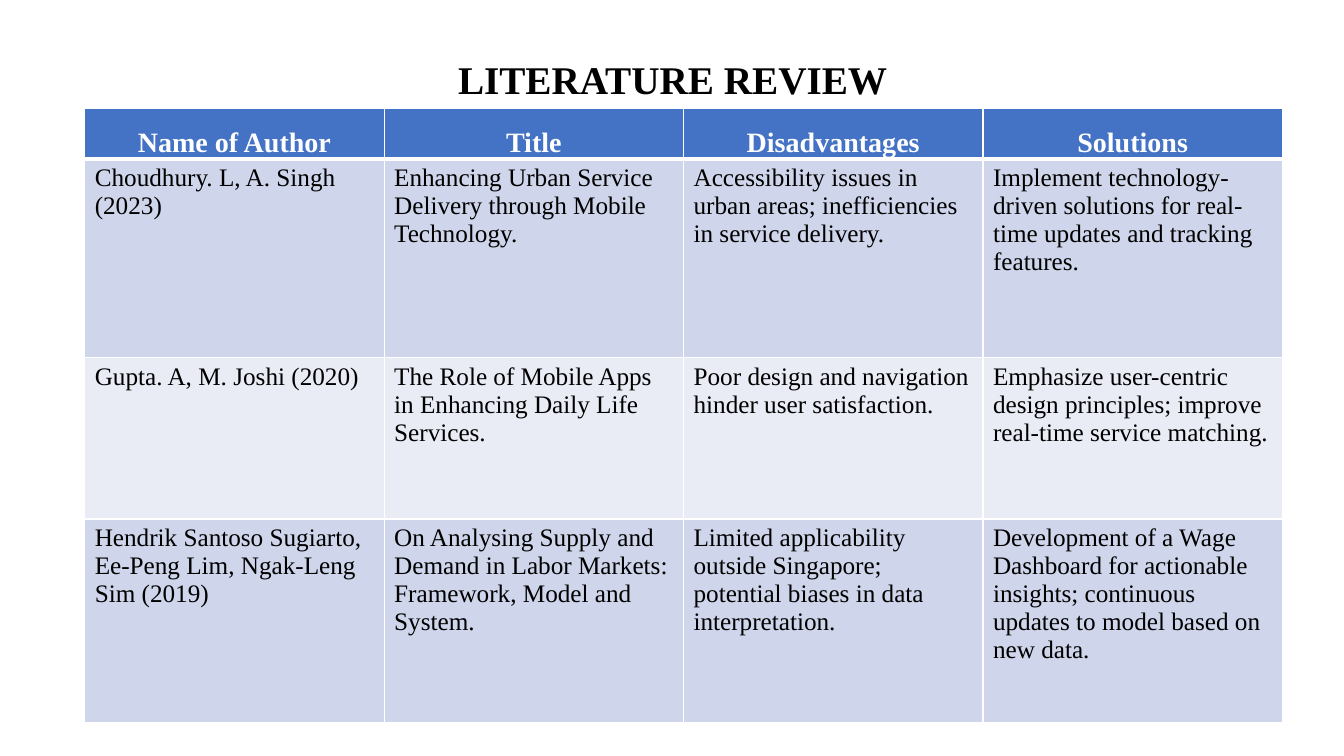
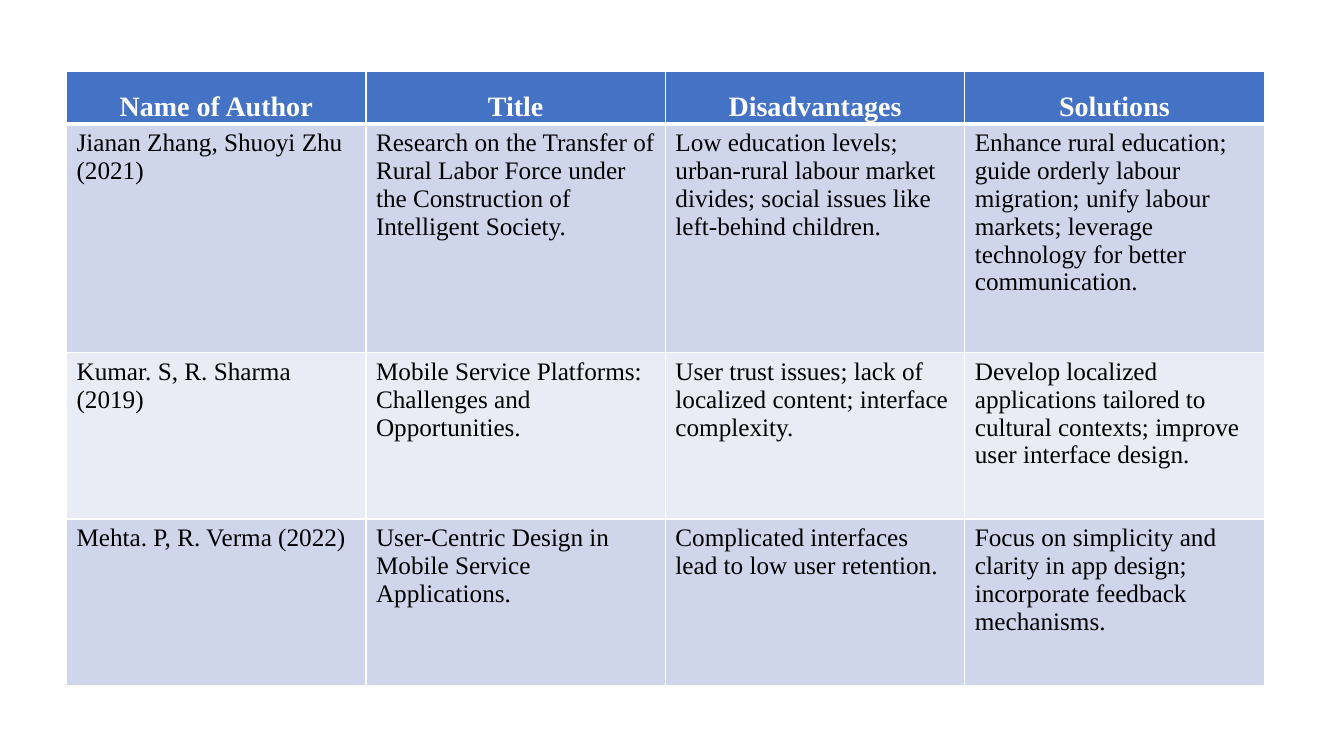
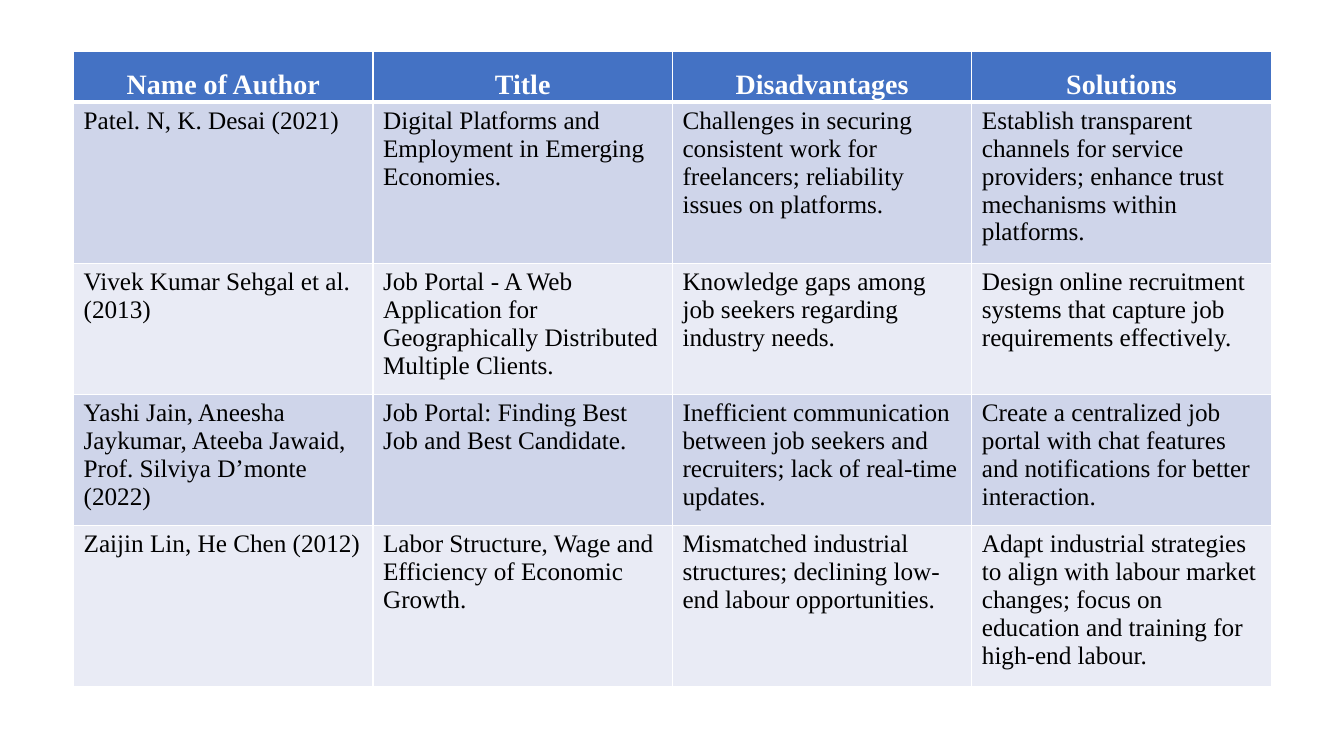
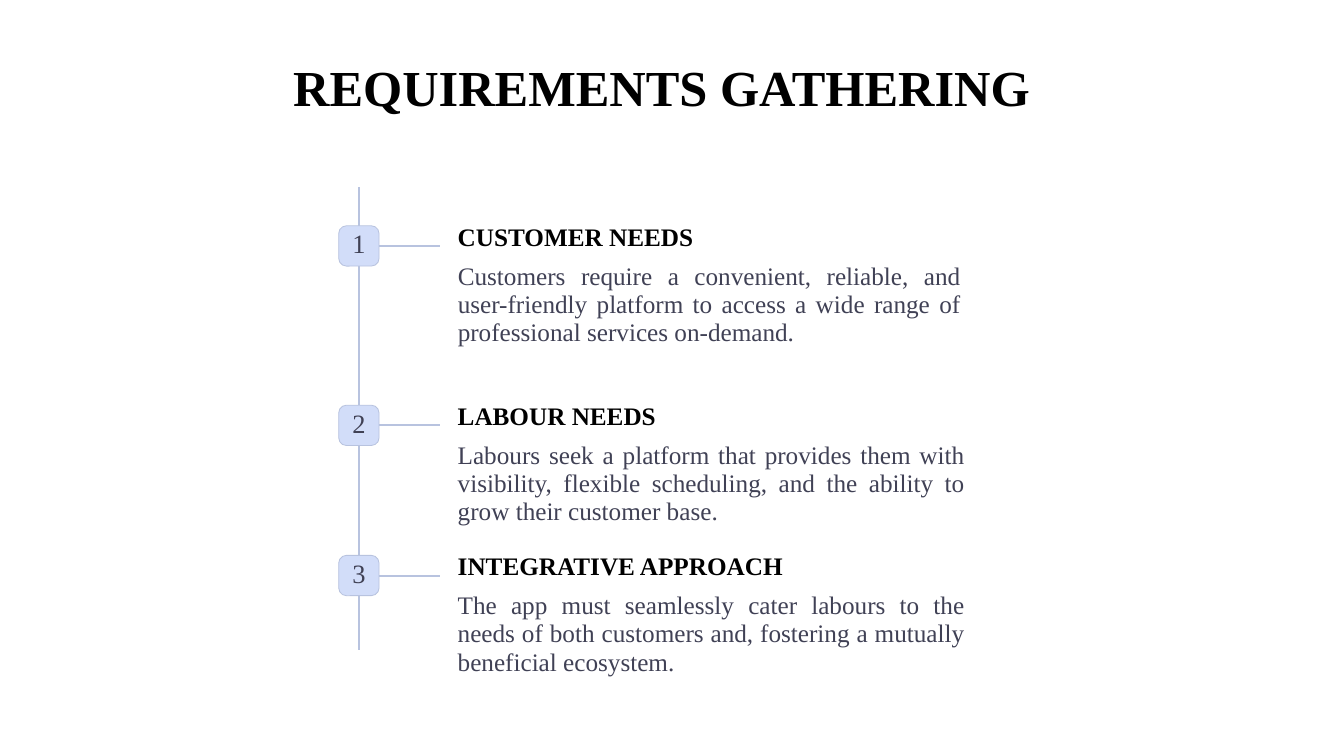
from lxml import etree
from pptx import Presentation
from pptx import util as u
from pptx.dml.color import RGBColor
from pptx.enum import shapes, text
from pptx.oxml.ns import qn

FONT = "Times New Roman"
BLACK, WHITE, SLATE = "000000", "FFFFFF", "404155"
BLUE, BANDS = "4472C4", ("CFD5EA", "E9EBF5")
RULE, BADGE = "B8C3DF", "D2DDF9"
AL = text.PP_ALIGN
MID = text.MSO_ANCHOR.MIDDLE

# Content
HEADS = ("Name of Author", "Title", "Disadvantages", "Solutions")
REVIEWS = [
    {"title": "LITERATURE REVIEW", "at": (0.84, 1.08),
     "heights": (0.5, 1.97, 1.6, 2.02),
     "rows": [
         ("Choudhury. L, A. Singh (2023)",
          "Enhancing Urban Service Delivery through Mobile Technology.",
          "Accessibility issues in urban areas; inefficiencies in service delivery.",
          "Implement technology-driven solutions for real-time updates and tracking features."),
         ("Gupta. A, M. Joshi (2020)",
          "The Role of Mobile Apps in Enhancing Daily Life Services.",
          "Poor design and navigation hinder user satisfaction.",
          "Emphasize user-centric design principles; improve real-time service matching."),
         ("Hendrik Santoso Sugiarto, Ee-Peng Lim, Ngak-Leng Sim (2019)",
          "On Analysing Supply and Demand in Labor Markets: Framework, Model and System.",
          "Limited applicability outside Singapore; potential biases in data interpretation.",
          "Development of a Wage Dashboard for actionable insights; continuous updates "
          "to model based on new data."),
     ]},
    {"title": None, "at": (0.66, 0.71),
     "heights": (0.52, 2.27, 1.65, 1.65),
     "rows": [
         ("Jianan Zhang, Shuoyi Zhu (2021)",
          "Research on the Transfer of Rural Labor Force under the Construction of "
          "Intelligent Society.",
          "Low education levels; urban-rural labour market divides; social issues like "
          "left-behind children.",
          "Enhance rural education; guide orderly labour migration; unify labour markets; "
          "leverage technology for better communication."),
         ("Kumar. S, R. Sharma (2019)",
          "Mobile Service Platforms: Challenges and Opportunities.",
          "User trust issues; lack of localized content; interface complexity.",
          "Develop localized applications tailored to cultural contexts; improve user "
          "interface design."),
         ("Mehta. P, R. Verma (2022)",
          "User-Centric Design in Mobile Service Applications.",
          "Complicated interfaces lead to low user retention.",
          "Focus on simplicity and clarity in app design; incorporate feedback mechanisms."),
     ]},
    {"title": None, "at": (0.73, 0.51),
     "heights": (0.5, 1.6, 1.3, 1.3, 1.6),
     "rows": [
         ("Patel. N, K. Desai (2021)",
          "Digital Platforms and Employment in Emerging Economies.",
          "Challenges in securing consistent work for freelancers; reliability issues on "
          "platforms.",
          "Establish transparent channels for service providers; enhance trust mechanisms "
          "within platforms."),
         ("Vivek Kumar Sehgal et al. (2013)",
          "Job Portal - A Web Application for Geographically Distributed Multiple Clients.",
          "Knowledge gaps among job seekers regarding industry needs.",
          "Design online recruitment systems that capture job requirements effectively."),
         ("Yashi Jain, Aneesha Jaykumar, Ateeba Jawaid, Prof. Silviya D’monte (2022)",
          "Job Portal: Finding Best Job and Best Candidate.",
          "Inefficient communication between job seekers and recruiters; lack of real-time "
          "updates.",
          "Create a centralized job portal with chat features and notifications for better "
          "interaction."),
         ("Zaijin Lin, He Chen (2012)",
          "Labor Structure, Wage and Efficiency of Economic Growth.",
          "Mismatched industrial structures; declining low-end labour opportunities.",
          "Adapt industrial strategies to align with labour market changes; focus on "
          "education and training for high-end labour."),
     ]},
]
# Badge top, text width, heading, body
NEEDS = [
    (2.24, 4.99, "CUSTOMER NEEDS",
     "Customers require a convenient, reliable, and user-friendly platform to access a "
     "wide range of professional services on-demand."),
    (4.02, 5.03, "LABOUR NEEDS",
     "Labours seek a platform that provides them with visibility, flexible scheduling, "
     "and the ability to grow their customer base."),
    (5.51, 5.03, "INTEGRATIVE APPROACH",
     "The app must seamlessly cater labours to the needs of both customers and, "
     "fostering a mutually beneficial ecosystem."),
]


def rgb(code):
    return RGBColor.from_string(code)


def inches(*nums):
    return [u.Inches(n) for n in nums]


def write(frame, words, size, color, bold=False, align=AL.LEFT, lead=None, after=None):
    frame.text = words
    par = frame.paragraphs[0]
    par.alignment, par.line_spacing, par.space_after = align, lead, after
    font = par.runs[0].font
    font.name, font.size, font.bold = FONT, u.Pt(size), bold
    font.color.rgb = rgb(color)


def inset(part, size):
    part.margin_left = part.margin_right = u.Inches(size)
    part.margin_top = part.margin_bottom = u.Inches(size)


def label(slide, at, words, size, color, pad=None, anchor=text.MSO_ANCHOR.TOP, **style):
    frame = slide.shapes.add_textbox(*inches(*at)).text_frame
    frame.word_wrap, frame.vertical_anchor = True, anchor
    if pad is not None:
        inset(frame, pad)
    write(frame, words, size, color, **style)


def title(slide, at, words, size, **style):
    label(slide, at, words, size, BLACK, bold=True, **style)


def border(cell, top, bottom):
    props = cell._tc.get_or_add_tcPr()
    for side, width in (("L", 1), ("R", 1), ("T", top), ("B", bottom)):
        line = etree.SubElement(props, qn("a:ln" + side), w=str(u.Pt(width)))
        fill = etree.SubElement(line, qn("a:solidFill"))
        etree.SubElement(fill, qn("a:srgbClr"), val=WHITE)


def grid(slide, at, heights, rows):
    size = (4 * 2.97, sum(heights))
    table = slide.shapes.add_table(len(heights), 4, *inches(*at, *size)).table
    for col in table.columns:
        col.width = u.Inches(2.97)
    for r, (height, row) in enumerate(zip(heights, [HEADS, *rows])):
        table.rows[r].height = u.Inches(height)
        for c, words in enumerate(row):
            cell = table.cell(r, c)
            border(cell, 3 if r == 1 else 1, 3 if r == 0 else 1)
            cell.fill.solid()
            if r == 0:
                cell.fill.fore_color.rgb = rgb(BLUE)
                cell.vertical_anchor = text.MSO_ANCHOR.BOTTOM
                inset(cell, 0.01)
                write(cell.text_frame, words, 20, WHITE, True, AL.CENTER, 1.07, u.Pt(8))
            else:
                cell.fill.fore_color.rgb = rgb(BANDS[(r - 1) % 2])
                write(cell.text_frame, words, 18, BLACK)


def rule(slide, *ends):
    line = slide.shapes.add_connector(shapes.MSO_CONNECTOR.STRAIGHT, *inches(*ends))
    line.line.color.rgb, line.line.width = rgb(RULE), u.Pt(1.5)
    etree.SubElement(line._element.spPr, qn("a:effectLst"))
    return line


def need(slide, num, top, width, head, body):
    side, left, start = 0.4, 3.36, 4.54
    badge = slide.shapes.add_shape(shapes.MSO_SHAPE.ROUNDED_RECTANGLE,
                                   *inches(left, top, side, side))
    badge.adjustments[0] = 0.19
    badge.shadow.inherit = False
    badge.fill.solid()
    badge.fill.fore_color.rgb = rgb(BADGE)
    badge.line.color.rgb, badge.line.width = rgb(RULE), u.Pt(0.6)
    frame = badge.text_frame
    inset(frame, 0)
    frame.vertical_anchor = MID
    write(frame, str(num), 18.9, SLATE, align=AL.CENTER, lead=u.Pt(18.9))

    mid = top + side / 2
    rule(slide, left + side, mid, 4.36, mid).begin_connect(badge, 3)
    label(slide, (start, top - 0.02, 3.5, 0.28), head, 18, BLACK, 0,
          bold=True, lead=u.Pt(19.7))
    label(slide, (start, top + 0.36, width, 0.86), body, 18, SLATE, 0,
          align=AL.JUSTIFY, lead=u.Pt(20.1))


def main():
    deck = Presentation()
    deck.slide_width, deck.slide_height = inches(13.33, 7.5)
    blank = deck.slide_layouts[6]

    # Literature tables
    for review in REVIEWS:
        slide = deck.slides.add_slide(blank)
        if review["title"]:
            title(slide, (3.33, 0.5, 6.68, 0.57), review["title"], 28, align=AL.CENTER)
        grid(slide, review["at"], review["heights"], review["rows"])

    # Requirements timeline
    slide = deck.slides.add_slide(blank)
    title(slide, (2.81, 0.42, 10.5, 0.96), "REQUIREMENTS GATHERING", 36,
          anchor=MID, lead=0.9)
    rule(slide, 3.56, 1.86, 3.56, 6.45)
    for num, item in enumerate(NEEDS, 1):
        need(slide, num, *item)

    deck.save("out.pptx")


if __name__ == "__main__":
    main()
